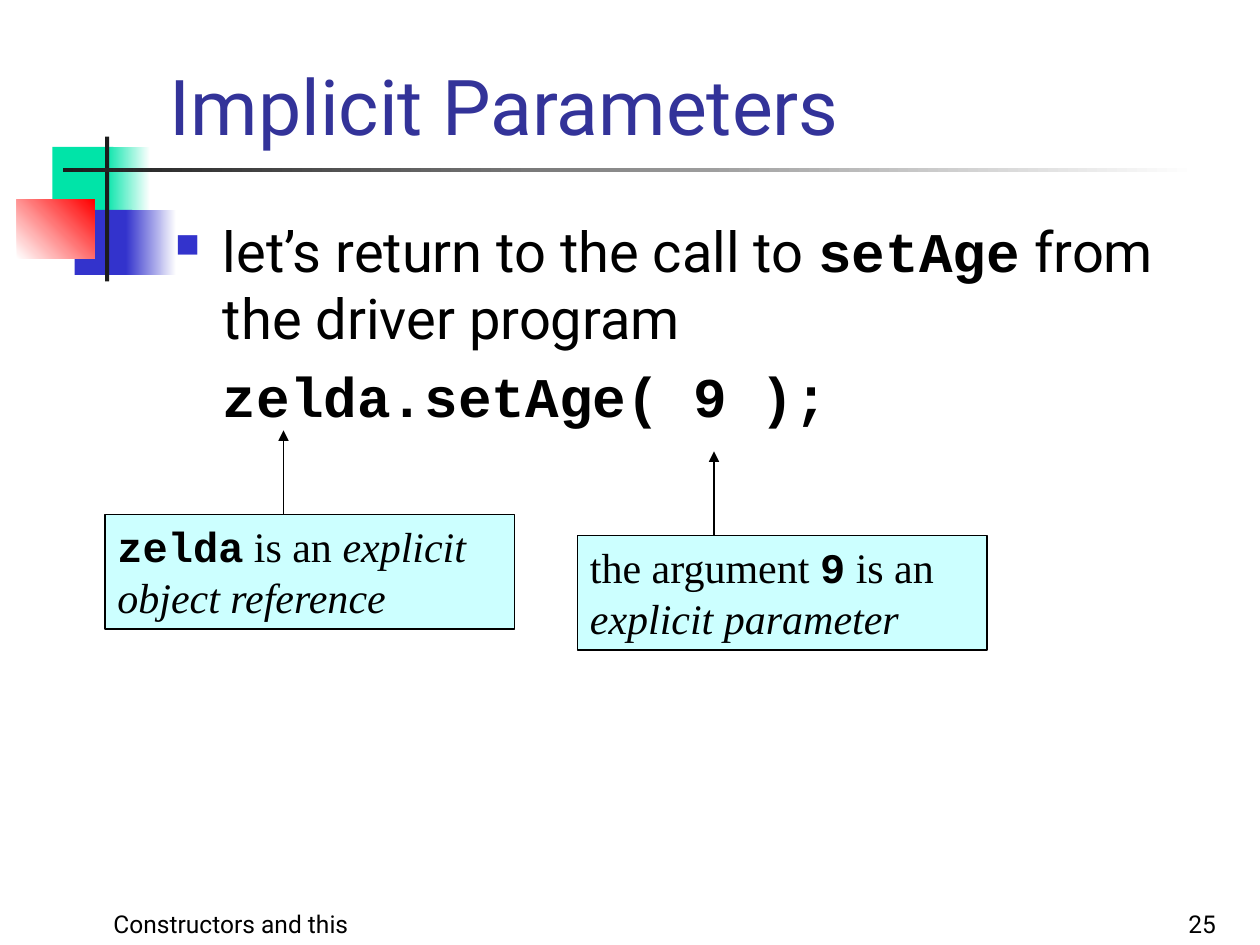
from lxml import etree
from pptx import Presentation
from pptx.dml.color import RGBColor
from pptx.enum.shapes import MSO_CONNECTOR, MSO_SHAPE
from pptx.enum.text import MSO_ANCHOR, PP_ALIGN
from pptx.oxml.ns import qn
from pptx.util import Inches, Pt

RECTANGLE = MSO_SHAPE.RECTANGLE
STRAIGHT = MSO_CONNECTOR.STRAIGHT
TOP, BOTTOM = MSO_ANCHOR.TOP, MSO_ANCHOR.BOTTOM
LEFT, CENTER, RIGHT = PP_ALIGN.LEFT, PP_ALIGN.CENTER, PP_ALIGN.RIGHT

COLUMNS, ROWS = 120, 90
SANS, SERIF, CODE = "Roboto", "Times New Roman", "Courier New"
COLORS = {
    "black": "000000", "white": "FFFFFF", "charcoal": "1C1C1C",
    "green": "00E4A8", "blue": "3333CC", "red": "FF0000",
    "title": "333399", "callout": "CCFFFF",
}


def color(name):
    return RGBColor.from_string(COLORS[name])


class SlideBuilder:
    def __init__(self, deck):
        self.page = deck.slides.add_slide(deck.slide_layouts[6])
        self.column = deck.slide_width / COLUMNS
        self.row = deck.slide_height / ROWS

    def place(self, left, top, width, height):
        return (int(left * self.column), int(top * self.row),
                int(width * self.column), int(height * self.row))

    def block(self, area, fill, fade_to=None, angle=0):
        box = self.page.shapes.add_shape(RECTANGLE, *self.place(*area))
        box.shadow.inherit = False
        box.line.fill.background()
        if fade_to:
            box.fill.gradient()
            box.fill.gradient_angle = angle
            for stop, name in zip(box.fill.gradient_stops, (fill, fade_to)):
                stop.color.rgb = color(name)
        else:
            box.fill.solid()
            box.fill.fore_color.rgb = color(fill)
        return box

    def fill_para(self, para, spans, size, tint="black", align=LEFT):
        para.alignment = align
        para.font.size = Pt(size)
        para.font.color.rgb = color(tint)
        if len(spans) == 1:
            para.font.name = spans[0][1]
            para.font.bold = spans[0][1] == CODE
        for text, font, *italic in spans:
            span = para.add_run()
            span.text = text
            if len(spans) > 1:
                span.font.name = font
                span.font.bold = font == CODE
                span.font.italic = bool(italic)

    def textbox(self, area, anchor):
        frame = self.page.shapes.add_textbox(*self.place(*area)).text_frame
        frame.word_wrap = True
        frame.vertical_anchor = anchor
        return frame

    def label(self, area, text, size, tint="black", align=LEFT):
        para = self.textbox(area, BOTTOM).paragraphs[0]
        self.fill_para(para, [(text, SANS)], size, tint, align)

    def body(self, area, bulleted, code):
        frame = self.textbox(area, TOP)
        for para, spans in ((frame.paragraphs[0], bulleted), (frame.add_paragraph(), code)):
            para.space_before = Pt(6.4)
            self.fill_para(para, spans, 32)
            para._p.get_or_add_pPr().set("marL", str(Inches(0.38)))
        self.bullet(frame.paragraphs[0])

    def bullet(self, para):
        props = para._p.get_or_add_pPr()
        props.set("indent", str(-Inches(0.38)))
        marks = [etree.Element(qn(tag)) for tag in ("a:buClr", "a:buSzPct", "a:buChar")]
        etree.SubElement(marks[0], qn("a:srgbClr")).set("val", COLORS["blue"])
        marks[1].set("val", "60000")
        marks[2].set("char", "■")
        start = props.index(props.find(qn("a:spcBef"))) + 1
        props[start:start] = marks

    def callout(self, left, top, arrow_column, spans):
        box = self.block((left, top, 39, 10.9), "callout")
        box.line.color.rgb = color("black")
        box.line.width = Pt(0.75)
        box.text_frame.word_wrap = True
        box.text_frame.vertical_anchor = TOP
        self.fill_para(box.text_frame.paragraphs[0], spans, 24)
        self.arrow(arrow_column, top, top - 8)

    def arrow(self, column, start, end):
        x = int(column * self.column)
        line = self.page.shapes.add_connector(
            STRAIGHT, x, int(start * self.row), x, int(end * self.row))
        line.line.color.rgb = color("black")
        line.line.width = Pt(0.75)
        props = line._element.spPr
        etree.SubElement(props.find(qn("a:ln")), qn("a:tailEnd")).set("type", "triangle")
        etree.SubElement(props, qn("a:effectLst"))


def main():
    deck = Presentation()
    deck.slide_width, deck.slide_height = Inches(10), Inches(7.5)
    slide = SlideBuilder(deck)

    slide.block((5, 14, 5.8, 6.2), "green")
    slide.block((10, 14, 4.3, 6.2), "green", "white")
    slide.block((7.1, 20, 5.5, 6.2), "blue")
    slide.block((12, 20, 4.8, 6.2), "blue", "white")
    slide.block((1.6, 19, 7.4, 5.6), "white", "red", 45)
    slide.block((10, 13, 0.4, 13.8), "charcoal")
    slide.block((6, 16, 108, 0.4), "charcoal", "white")

    slide.label((3, 84, 38, 6), "Constructors and this", 14, align=CENTER)
    slide.label((92, 84, 25, 6), "25", 14, align=RIGHT)
    slide.label((15, 0, 102, 15), "Implicit Parameters", 44, "title")
    slide.body(
        (15.5, 20, 102, 60.5),
        [("let’s return to the call to ", SANS), ("setAge", CODE),
         (" from the driver program", SANS)],
        [("zelda.setAge( 9 );", CODE)])

    slide.callout(10, 49, 27, [
        ("zelda", CODE), (" is an ", SERIF), ("explicit object reference", SERIF, True)])
    slide.callout(55, 51, 68, [
        ("the argument ", SERIF), ("9", CODE), (" is an ", SERIF),
        ("explicit parameter", SERIF, True)])

    deck.save("out.pptx")


if __name__ == "__main__":
    main()
